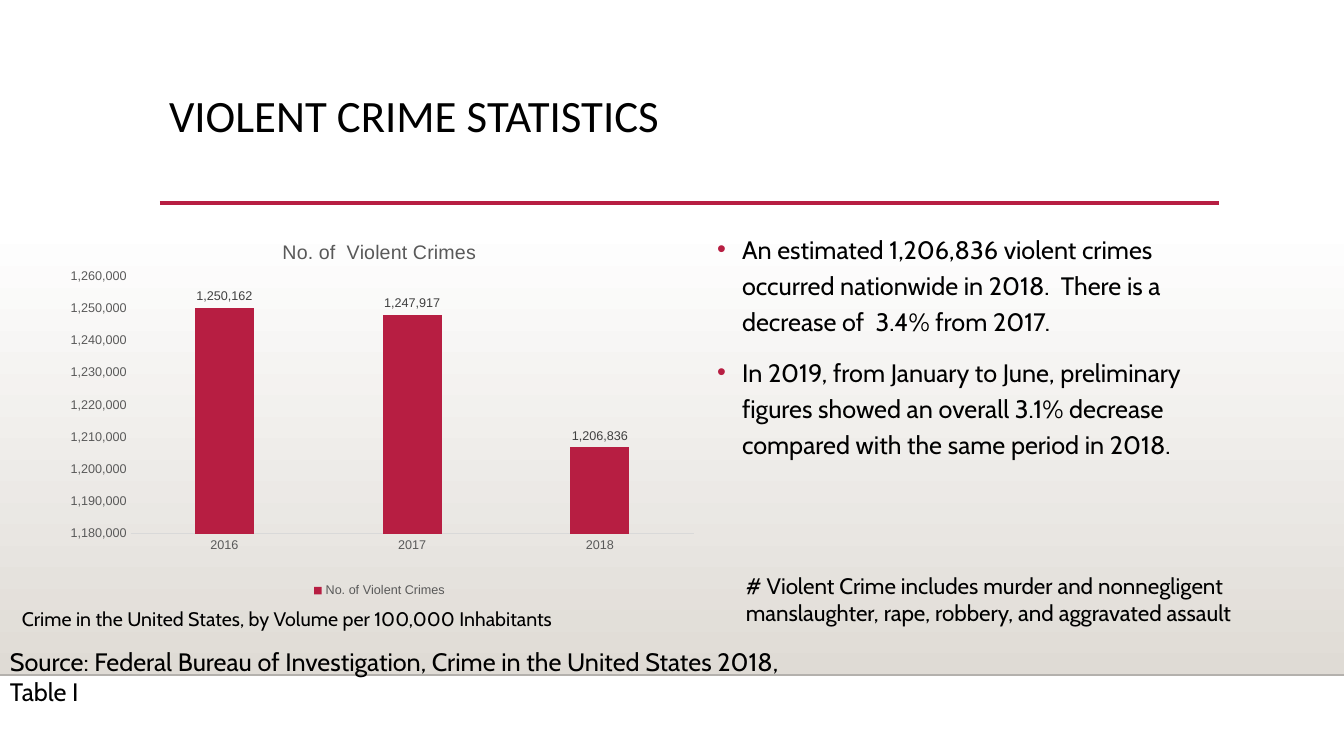
import pptx
import pptx.util
import pptx.chart.data
import pptx.dml.color
import pptx.enum.chart
import pptx.enum.shapes
import pptx.enum.text
import pptx.oxml
import pptx.oxml.ns
import lxml.etree

PX = 914400 / 100.8
BLACK = pptx.dml.color.RGBColor(0x00, 0x00, 0x00)
WHITE = pptx.dml.color.RGBColor(0xFF, 0xFF, 0xFF)
CRIMSON = pptx.dml.color.RGBColor(0xB7, 0x1E, 0x42)
STONE = pptx.dml.color.RGBColor(0xDF, 0xDB, 0xD5)
EDGE_GRAY = pptx.dml.color.RGBColor(0xB4, 0xB1, 0xAD)
AXIS_GRAY = pptx.dml.color.RGBColor(0xD9, 0xD9, 0xD9)
CHART_GRAY = pptx.dml.color.RGBColor(0x59, 0x59, 0x59)
LABEL_GRAY = pptx.dml.color.RGBColor(0x40, 0x40, 0x40)


def px(*lengths):
    return [pptx.util.Emu(round(length * PX)) for length in lengths]


def write_text(text, shape, box, size, font="Cabin", line_spacing=1.0, space_before=0, bullets=False):
    shape.left, shape.top, shape.width, shape.height = px(*box)
    frame = shape.text_frame
    frame.word_wrap = True
    frame.auto_size = pptx.enum.text.MSO_AUTO_SIZE.NONE
    frame.vertical_anchor = pptx.enum.text.MSO_ANCHOR.TOP
    frame.text = text
    for index, paragraph in enumerate(frame.paragraphs):
        paragraph.alignment = pptx.enum.text.PP_ALIGN.LEFT
        paragraph.line_spacing = line_spacing
        paragraph.space_before = pptx.util.Pt(space_before if index else 0)
        paragraph.font.size = pptx.util.Pt(size)
        paragraph.font.name = font
        paragraph.font.color.rgb = BLACK
        if bullets:
            properties = paragraph._p.get_or_add_pPr()
            indent = px(25)[0]
            properties.set("marL", str(indent))
            properties.set("indent", str(-indent))
            color = lxml.etree.SubElement(properties, pptx.oxml.ns.qn("a:buClr"))
            lxml.etree.SubElement(color, pptx.oxml.ns.qn("a:srgbClr"), val=str(CRIMSON))
            lxml.etree.SubElement(properties, pptx.oxml.ns.qn("a:buFont"), typeface="Arial")
            lxml.etree.SubElement(properties, pptx.oxml.ns.qn("a:buChar"), char="•")


presentation = pptx.Presentation()
presentation.slide_width, presentation.slide_height = px(1344, 756)
slide = presentation.slides.add_slide(presentation.slide_layouts[1])
shapes = slide.shapes

band = shapes.add_shape(pptx.enum.shapes.MSO_SHAPE.RECTANGLE, *px(0, 223, 1344, 452))
band.shadow.inherit = False
band.line.fill.background()
band.fill.gradient()
band.fill.gradient_angle = 270
for stop, color in zip(band.fill.gradient_stops, (WHITE, STONE)):
    stop.color.rgb = color
shapes._spTree.insert(2, band._element)

for left, right, y, color, width in (
    (0, 1344, 675, EDGE_GRAY, 1),
    (160, 1219, 203, CRIMSON, 2.5),
):
    rule = shapes.add_connector(pptx.enum.shapes.MSO_CONNECTOR.STRAIGHT, *px(left, y, right, y))
    rule.line.color.rgb = color
    rule.line.width = pptx.util.Pt(width)
    lxml.etree.SubElement(rule._element.spPr, pptx.oxml.ns.qn("a:effectLst"))

write_text("VIOLENT CRIME STATISTICS", shapes.title, (159, 89, 1058, 117), 32,
           font="Calibri", line_spacing=0.9)
write_text(
    "An estimated 1,206,836 violent crimes occurred nationwide in 2018.  There is a  decrease of  3.4% from 2017.\n"
    "In 2019, from January to June, preliminary figures showed an overall 3.1% decrease "
    "compared with the same period in 2018.",
    slide.placeholders[1], (707, 223, 512, 379), 18, line_spacing=1.2, space_before=10, bullets=True)

chart_data = pptx.chart.data.CategoryChartData(number_format="#,##0")
chart_data.categories = ["2016", "2017", "2018"]
chart_data.add_series("No. of Violent Crimes", (1250162, 1247917, 1206836))
chart = shapes.add_chart(pptx.enum.chart.XL_CHART_TYPE.COLUMN_CLUSTERED,
                         *px(52, 223, 655, 379), chart_data).chart
chart.font.name = "Arial"
chart.font.size = pptx.util.Pt(10)
chart.font.color.rgb = BLACK

chart.has_title = True
chart.chart_title.text_frame.text = "No. of  Violent Crimes"
title_font = chart.chart_title.text_frame.paragraphs[0].font
chart.has_legend = True
chart.legend.position = pptx.enum.chart.XL_LEGEND_POSITION.BOTTOM
chart.legend.include_in_layout = False

plot = chart.plots[0]
plot.gap_width = 219
plot.vary_by_categories = False
plot.series[0].format.fill.solid()
plot.series[0].format.fill.fore_color.rgb = CRIMSON
plot.has_data_labels = True
plot.data_labels.show_value = True
plot.data_labels.number_format = "#,##0"
plot.data_labels.number_format_is_linked = False
plot.data_labels.position = pptx.enum.chart.XL_LABEL_POSITION.OUTSIDE_END

years, counts = chart.category_axis, chart.value_axis
for axis in (years, counts):
    axis.has_major_gridlines = False
    axis.major_tick_mark = pptx.enum.chart.XL_TICK_MARK.NONE
years.format.line.color.rgb = AXIS_GRAY
years.format.line.width = pptx.util.Pt(0.75)
counts.format.line.fill.background()
counts.minimum_scale = 1180000
counts.maximum_scale = 1260000
counts.major_unit = 10000
counts.tick_labels.number_format = "#,##0"
counts.tick_labels.number_format_is_linked = False

for font, size, color in (
    (title_font, 14, CHART_GRAY),
    (chart.legend.font, 9, CHART_GRAY),
    (years.tick_labels.font, 9, CHART_GRAY),
    (counts.tick_labels.font, 9, CHART_GRAY),
    (plot.data_labels.font, 9, LABEL_GRAY),
):
    font.name = "Arial"
    font.size = pptx.util.Pt(size)
    font.bold = False
    font.color.rgb = color

plot_area = chart._chartSpace.chart.plotArea
for old_layout in plot_area.findall(pptx.oxml.ns.qn("c:layout")):
    plot_area.remove(old_layout)
layout = pptx.oxml.parse_xml(
    f'<c:layout {pptx.oxml.ns.nsdecls("c")}><c:manualLayout><c:layoutTarget val="inner"/>'
    '<c:xMode val="edge"/><c:yMode val="edge"/><c:x val="0.12"/><c:y val="0.14"/>'
    '<c:w val="0.86"/><c:h val="0.68"/></c:manualLayout></c:layout>')
plot_area.insert(0, layout)

for text, box, size in (
    ("Source: Federal Bureau of Investigation, Crime in the United States 2018, Table I",
     (0, 641, 844, 40), 18),
    ("# Violent Crime includes murder and nonnegligent manslaughter, rape, robbery, and aggravated assault",
     (736, 567, 568, 95), 16),
    ("Crime in the United States, by Volume per 100,000 Inhabitants",
     (12, 602, 568, 34), 14),
):
    write_text(text, shapes.add_textbox(*px(*box)), box, size)

presentation.save("out.pptx")
